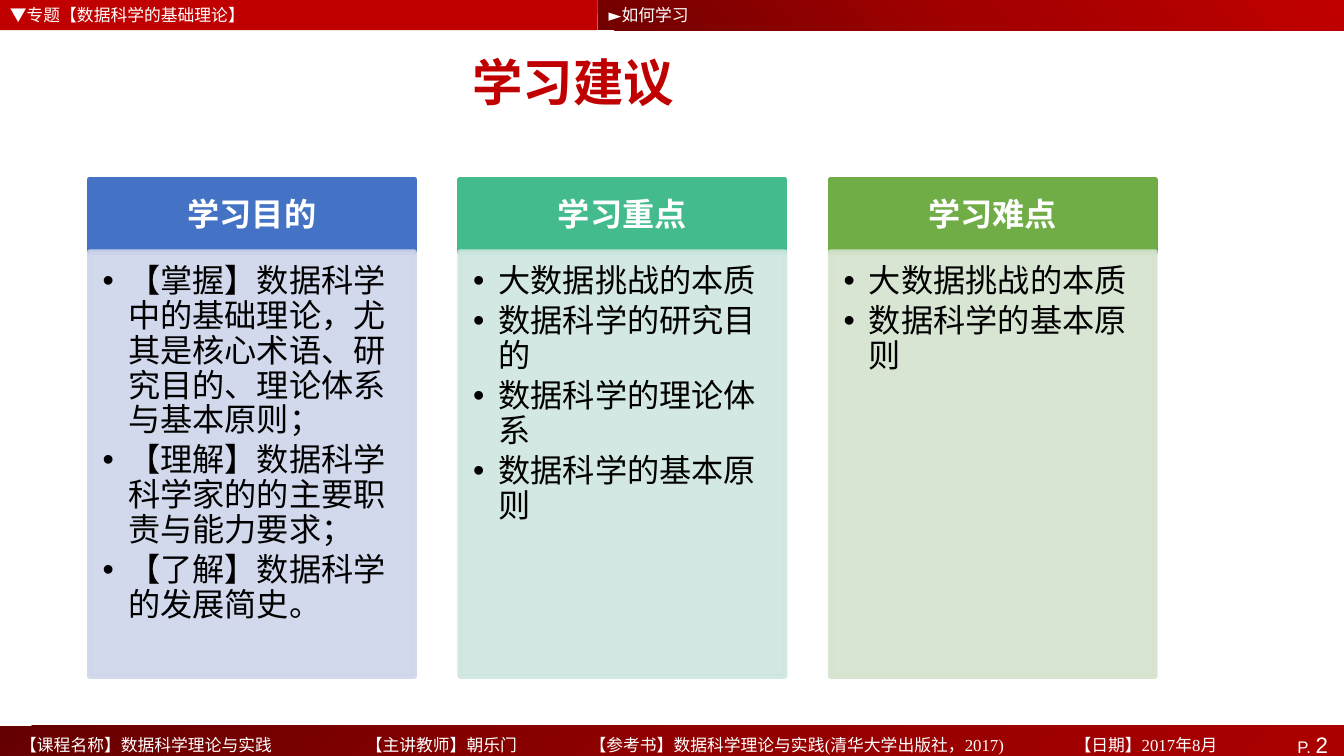
from lxml.etree import SubElement
from pptx import Presentation
from pptx.dml.color import RGBColor
from pptx.enum.shapes import MSO_SHAPE
from pptx.enum.text import MSO_ANCHOR, PP_ALIGN
from pptx.oxml.ns import qn
from pptx.util import Cm, Pt

COLORS = {
    "red": "C00000", "white": "FFFFFF", "black": "000000",
    "blue": "4472C4", "pale_blue": "CFD5EA",
    "teal": "43BB8D", "pale_teal": "CFE6E0",
    "green": "70AD47", "pale_green": "D5E3CF",
}
TOP_GRADIENT = ("720000", "A20000", "C00000")
FOOTER_GRADIENT = ("650000", "900000", "AB0000")
EAST_ASIAN_FONT = "Noto Sans CJK SC"
SLIDE_WIDTH = 33.87
FOOTER_ITEMS = [
    (0.51, 7.5, "【课程名称】数据科学理论与实践"),
    (9.22, 5, "【主讲教师】朝乐门"),
    (14.86, 11.6, "【参考书】数据科学理论与实践(清华大学出版社，2017)"),
    (27.08, 4.8, "【日期】2017年8月"),
]
COLUMNS = [
    ("学习目的", "blue", [
        "【掌握】数据科学中的基础理论，尤其是核心术语、研究目的、理论体系与基本原则；",
        "【理解】数据科学科学家的的主要职责与能力要求；",
        "【了解】数据科学的发展简史。",
    ]),
    ("学习重点", "teal", [
        "大数据挑战的本质", "数据科学的研究目的",
        "数据科学的理论体系", "数据科学的基本原则",
    ]),
    ("学习难点", "green", ["大数据挑战的本质", "数据科学的基本原则"]),
]


def add_run(paragraph, text, size, color="white", font="Arial", bold=False):
    """Add one formatted run with an East Asian font."""
    run = paragraph.add_run()
    run.text = text
    run.font.size = Pt(size)
    run.font.bold = bold
    run.font.name = font
    run.font.color.rgb = RGBColor.from_string(COLORS[color])
    latin = run.font._element.find(qn("a:latin"))
    east_asian = latin.makeelement(qn("a:ea"), {"typeface": EAST_ASIAN_FONT})
    latin.addnext(east_asian)


def set_frame(shape, insets, anchor):
    """Set wrapping, insets in centimetres and anchor of a text frame."""
    frame = shape.text_frame
    frame.word_wrap = True
    frame.vertical_anchor = anchor
    frame.margin_left, frame.margin_top, frame.margin_right, frame.margin_bottom = map(Cm, insets)
    return frame


def add_text(slide, box, text, align=PP_ALIGN.LEFT, insets=(0.25, 0, 0.25, 0), **run_format):
    """Add a one-paragraph text box centred vertically in its box."""
    shape = slide.shapes.add_textbox(*map(Cm, box))
    paragraph = set_frame(shape, insets, MSO_ANCHOR.MIDDLE).paragraphs[0]
    paragraph.alignment = align
    add_run(paragraph, text, **run_format)


def add_block(slide, box, color=None):
    """Add a rectangle without outline or shadow."""
    shape = slide.shapes.add_shape(MSO_SHAPE.RECTANGLE, *map(Cm, box))
    shape.shadow.inherit = False
    shape.line.fill.background()
    if color:
        shape.fill.solid()
        shape.fill.fore_color.rgb = RGBColor.from_string(COLORS[color])
    return shape


def set_gradient(shape, stops, angle):
    """Fill a shape with evenly spaced colours at an angle in degrees."""
    shape.fill.gradient()
    gradient = shape._element.spPr.find(qn("a:gradFill"))
    for child in list(gradient):
        gradient.remove(child)
    stop_list = SubElement(gradient, qn("a:gsLst"))
    for index, color in enumerate(stops):
        position = index * 100000 // (len(stops) - 1)
        stop = SubElement(stop_list, qn("a:gs"), pos=str(position))
        SubElement(stop, qn("a:srgbClr"), val=color)
    SubElement(gradient, qn("a:lin"), ang=str(angle * 60000), scaled="1")


def set_outline(shape, color):
    """Give a shape an outline in the given colour."""
    shape.line.color.rgb = RGBColor.from_string(COLORS[color])
    shape.line.width = Pt(3.78)


def add_header(slide, box):
    """Draw the two-part navigation bar."""
    left, top, width, height = box
    split = 15.06
    add_block(slide, (left, top, split, height), "red")
    bar = add_block(slide, (left + split, top, width - split, height))
    set_gradient(bar, TOP_GRADIENT, 315)
    add_text(slide, (left, top, 12.27, height), "▼专题【数据科学的基础理论】", size=12)
    add_text(slide, (left + split + 0.03, top, 6.05, height), "►如何学习", size=12)


def add_footer(slide, box):
    """Draw the footer bar with course details and page number."""
    left, top, width, height = box
    bar = add_block(slide, box)
    set_gradient(bar, FOOTER_GRADIENT, 45)
    paragraph = set_frame(bar, (0.25, 0, 0.4, 0), MSO_ANCHOR.MIDDLE).paragraphs[0]
    paragraph.alignment = PP_ALIGN.RIGHT
    add_run(paragraph, "P. ", size=12)
    add_run(paragraph, "2", size=16)
    for offset, item_width, text in FOOTER_ITEMS:
        add_text(slide, (left + offset, top, item_width, height), text,
                 insets=(0, 0, 0, 0), size=12, font="Times New Roman")


def add_bullet(paragraph, text):
    """Write one bulleted paragraph with a hanging indent."""
    properties = paragraph._p.get_or_add_pPr()
    properties.set("marL", str(Cm(0.64)))
    properties.set("indent", str(-Cm(0.64)))
    SubElement(properties, qn("a:buFont"), typeface="Arial")
    SubElement(properties, qn("a:buChar"), char="•")
    paragraph.alignment = PP_ALIGN.LEFT
    paragraph.line_spacing = 0.9
    paragraph.space_after = Pt(3.7)
    add_run(paragraph, text, size=23, color="black")


def add_column(slide, box, heading, color, points):
    """Draw a coloured heading above a pale panel of bullets."""
    left, top, width, height = box
    heading_height = 1.83
    header = add_block(slide, (left, top, width, heading_height), color)
    set_outline(header, color)
    frame = set_frame(header, (0.46, 0.25, 0.46, 0.25), MSO_ANCHOR.MIDDLE)
    frame.paragraphs[0].alignment = PP_ALIGN.CENTER
    frame.paragraphs[0].line_spacing = 0.9
    add_run(frame.paragraphs[0], heading, size=23, bold=True)

    pale = "pale_" + color
    panel = add_block(slide, (left, top + heading_height, width, height - heading_height), pale)
    set_outline(panel, pale)
    for color_element in panel._element.spPr.iter(qn("a:srgbClr")):
        SubElement(color_element, qn("a:alpha"), val="90000")
    frame = set_frame(panel, (0.33, 0.33, 0.46, 0.5), MSO_ANCHOR.TOP)
    for index, point in enumerate(points):
        paragraph = frame.add_paragraph() if index else frame.paragraphs[0]
        add_bullet(paragraph, point)


def add_columns(slide, box):
    """Spread the study columns evenly across a box."""
    left, top, width, height = box
    column_width = 8.18
    step = (width - column_width) / (len(COLUMNS) - 1)
    for index, column in enumerate(COLUMNS):
        add_column(slide, (left + index * step, top, column_width, height), *column)


def main():
    """Build and save the study advice slide."""
    presentation = Presentation()
    presentation.slide_width = Cm(SLIDE_WIDTH)
    presentation.slide_height = Cm(19.05)
    slide = presentation.slides.add_slide(presentation.slide_layouts[6])
    add_header(slide, (0, 0, SLIDE_WIDTH, 0.76))
    add_footer(slide, (0, 18.29, SLIDE_WIDTH, 0.94))
    add_text(slide, (0.58, 0.91, 27.74, 2.29), "学习建议", align=PP_ALIGN.CENTER,
             size=36, color="red", font=EAST_ASIAN_FONT, bold=True)
    add_columns(slide, (2.26, 4.52, 26.85, 12.52))
    presentation.save("out.pptx")


if __name__ == "__main__":
    main()
